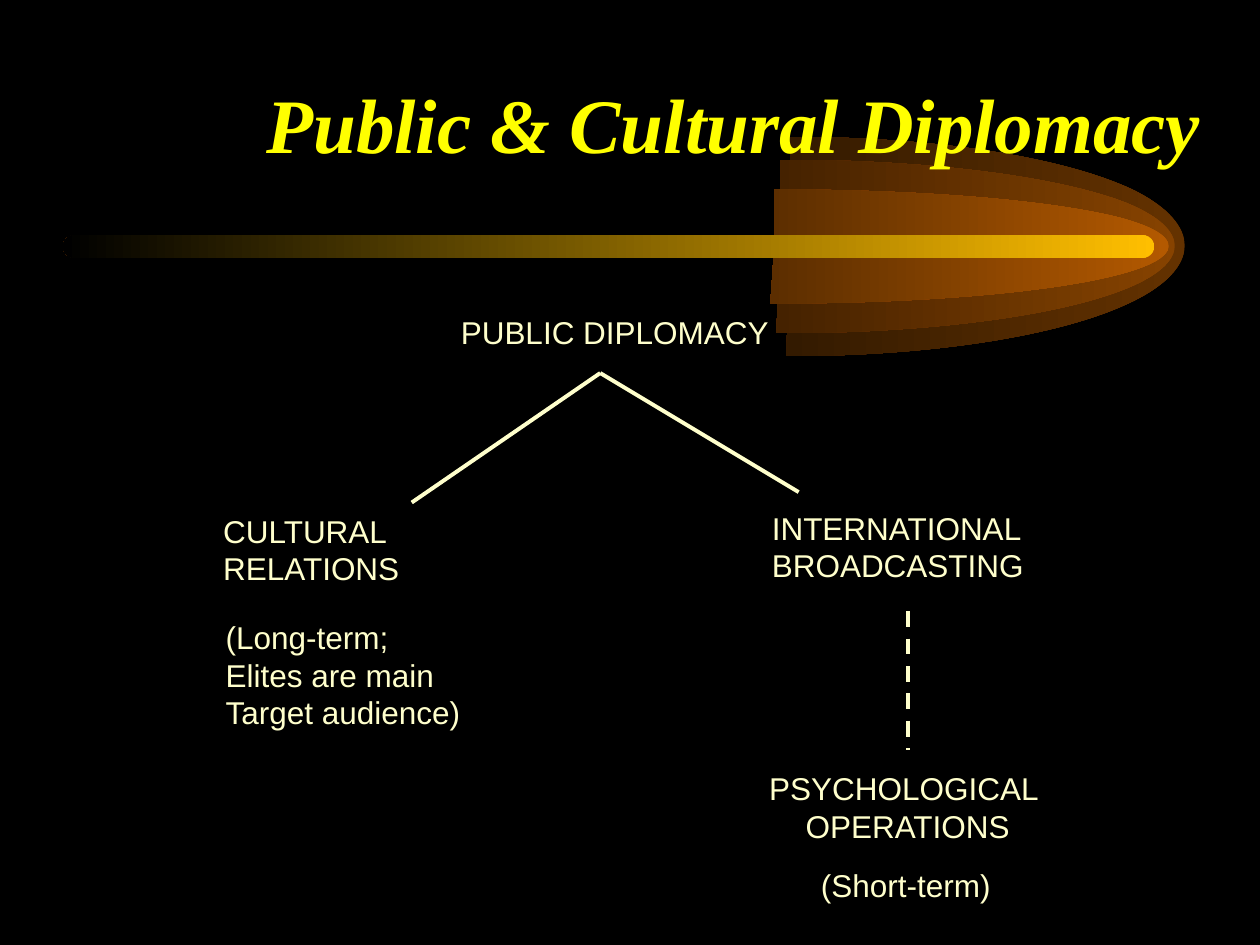
from pptx import Presentation
from pptx.dml.color import RGBColor
from pptx.enum.dml import MSO_LINE
from pptx.enum.shapes import MSO_CONNECTOR, MSO_SHAPE
from pptx.enum.text import MSO_ANCHOR, MSO_AUTO_SIZE, PP_ALIGN
from pptx.oxml.ns import qn
from pptx.util import Cm, Pt

CREAM = "FFFFCC"
AXIS = 4.97
FLAME_LENGTH = 7.98
LABEL_FONT = {"name": "Arial", "size": Pt(18)}
TITLE_FONT = {"name": "Times New Roman", "size": Pt(44), "bold": True, "italic": True}
LABEL_FRAME = {"word_wrap": False, "auto_size": MSO_AUTO_SIZE.SHAPE_TO_FIT_TEXT}
TITLE_FRAME = {"word_wrap": True, "vertical_anchor": MSO_ANCHOR.MIDDLE}

FLAME_OUTLINE = [
    (0, -1),
    (0.36, -1), (0.69, -0.82), (0.87, -0.51),
    (1.04, -0.2), (1.04, 0.2), (0.86, 0.51),
    (0.68, 0.82), (0.35, 1), (-0.01, 1),
    (0, 0),
]
FLAMES = [
    (15.93, 2.21, "663300", "331A00"),
    (15.73, 1.75, "894400", "452200"),
    (15.61, 1.15, "B75B00", "5C2E00"),
]
LABELS = [
    (9.04, 6.18, 6.71, 1.02, ["PUBLIC DIPLOMACY"], PP_ALIGN.LEFT),
    (4.25, 10.19, 4.09, 1.78, ["CULTURAL", "RELATIONS"], PP_ALIGN.LEFT),
    (15.31, 10.13, 5.59, 1.78, ["INTERNATIONAL", "BROADCASTING"], PP_ALIGN.LEFT),
    (15.24, 15.38, 6.12, 1.78, ["PSYCHOLOGICAL ", "OPERATIONS"], PP_ALIGN.CENTER),
    (4.3, 12.33, 5.31, 2.54,
     ["(Long-term;", "Elites are main", "Target audience)"], PP_ALIGN.LEFT),
    (16.3, 17.33, 3.96, 1.02, ["(Short-term)"], PP_ALIGN.LEFT),
]


def color(value):
    """Turn a hex string into a colour."""
    return RGBColor.from_string(value)


def apply(target, values):
    """Set each named attribute on the target."""
    for name, value in values.items():
        setattr(target, name, value)


def fade(shape, right, left):
    """Fill a shape with a gradient running from right to left, without outline."""
    shape.shadow.inherit = False
    shape.line.fill.background()
    shape.fill.gradient()
    shape.fill.gradient_angle = 180
    for stop, value, position in zip(shape.fill.gradient_stops, (right, left), (0, 1)):
        stop.color.rgb = color(value)
        stop.position = position


def bend(shape):
    """Join each three straight segments of an outline into one Bezier curve."""
    segments = list(shape._element.iter(qn("a:lnTo")))
    for first in range(0, len(segments) - 2, 3):
        curve, *others = segments[first:first + 3]
        curve.tag = qn("a:cubicBezTo")
        for other in others:
            curve.append(other[0])
            other.getparent().remove(other)


def add_flame(page, center, height, right, left):
    """Draw a half ellipse that points right."""
    points = [
        (Cm(center + FLAME_LENGTH * across), Cm(AXIS + height * down))
        for across, down in FLAME_OUTLINE
    ]
    builder = page.shapes.build_freeform(*points[0], scale=1.0)
    builder.add_line_segments(points[1:], close=True)
    flame = builder.convert_to_shape()
    bend(flame)
    fade(flame, right, left)


def add_bar(page):
    """Draw the rounded golden bar."""
    bar = page.shapes.add_shape(
        MSO_SHAPE.ROUNDED_RECTANGLE, Cm(1.27), Cm(AXIS - 0.23), Cm(22), Cm(0.46))
    bar.adjustments[0] = 0.5
    fade(bar, "FFBF00", "000000")


def add_text(page, left, top, width, height, lines, align, font, frame, ink):
    """Add a text box with one paragraph per line."""
    box = page.shapes.add_textbox(Cm(left), Cm(top), Cm(width), Cm(height))
    apply(box.text_frame, frame)
    for index, line in enumerate(lines):
        para = box.text_frame.add_paragraph() if index else box.text_frame.paragraphs[0]
        para.alignment = align
        span = para.add_run()
        span.text = line
        apply(span.font, font)
        span.font.color.rgb = color(ink)


def add_line(page, start, end, dash=None):
    """Draw a straight cream line."""
    line = page.shapes.add_connector(
        MSO_CONNECTOR.STRAIGHT, *[Cm(value) for value in start + end])
    line.line.color.rgb = color(CREAM)
    apply(line.line, {"width": Pt(2.25), "dash_style": dash})
    properties = line._element.spPr
    properties.append(properties.makeelement(qn("a:effectLst"), {}))


def main():
    """Build the slide and save it."""
    deck = Presentation()
    apply(deck, {"slide_width": Cm(25.4), "slide_height": Cm(19.05)})
    page = deck.slides.add_slide(deck.slide_layouts[6])
    page.background.fill.solid()
    page.background.fill.fore_color.rgb = color("000000")
    for flame in FLAMES:
        add_flame(page, *flame)
    add_bar(page)
    add_text(page, 0.83, 0.64, 23.65, 3.68, ["Public & Cultural Diplomacy"],
             PP_ALIGN.RIGHT, TITLE_FONT, TITLE_FRAME, "FFFF00")
    for label in LABELS:
        add_text(page, *label, LABEL_FONT, LABEL_FRAME, CREAM)
    fork = (12.1, 7.52)
    for end in [(8.3, 10.13), (16.1, 9.92)]:
        add_line(page, fork, end)
    add_line(page, (18.3, 12.32), (18.3, 15.11), MSO_LINE.DASH)
    deck.save("out.pptx")


if __name__ == "__main__":
    main()
